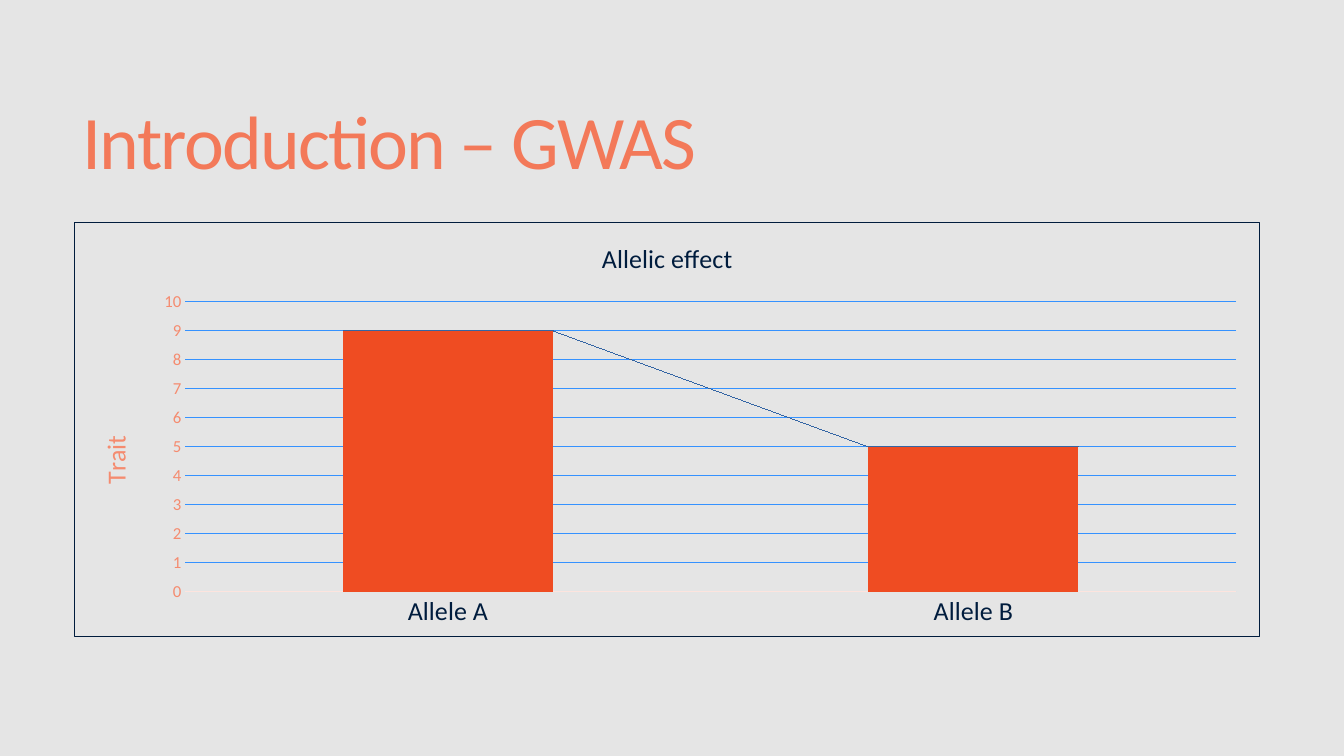
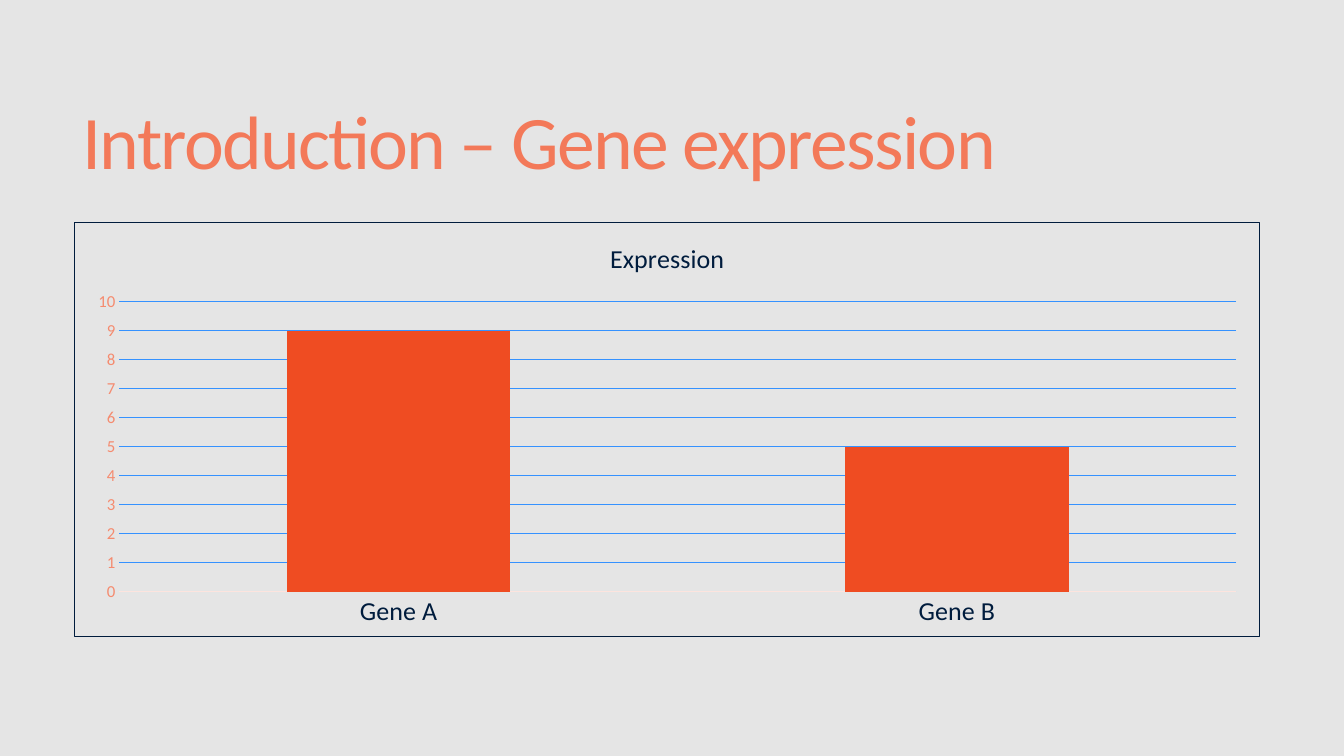
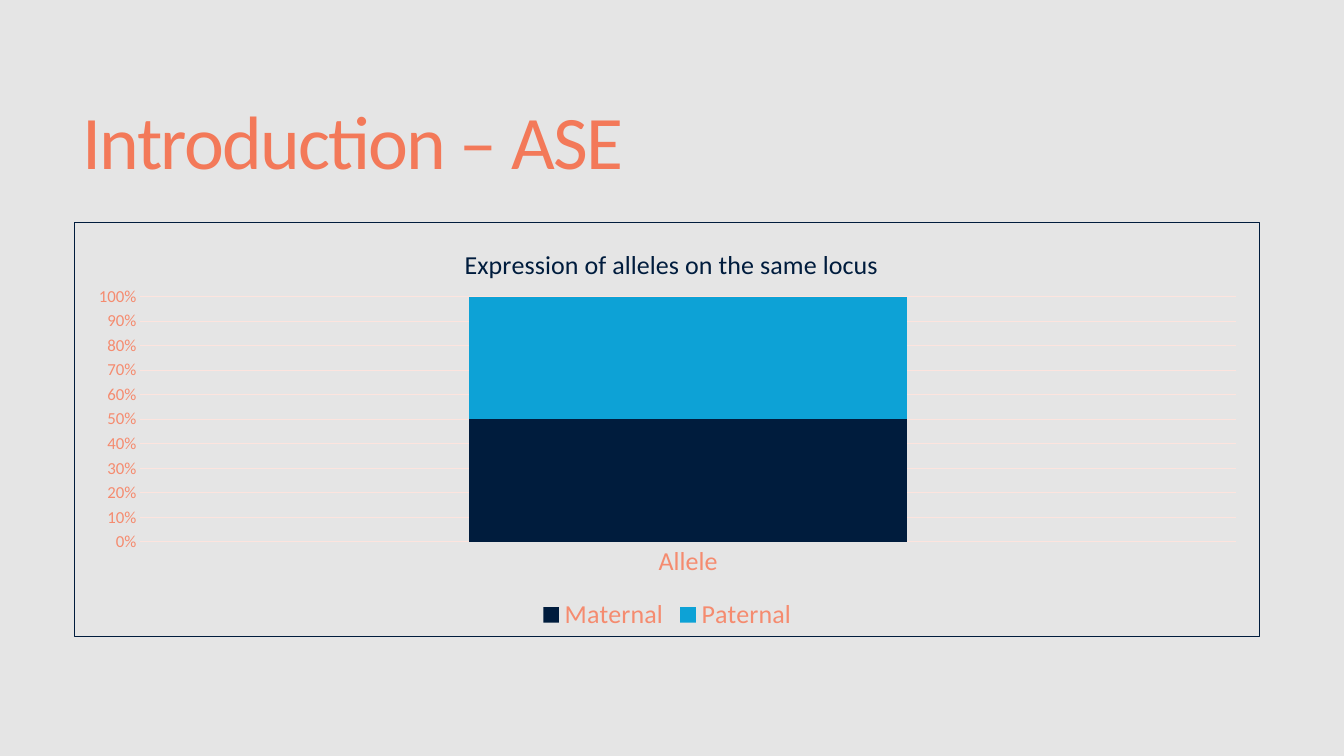
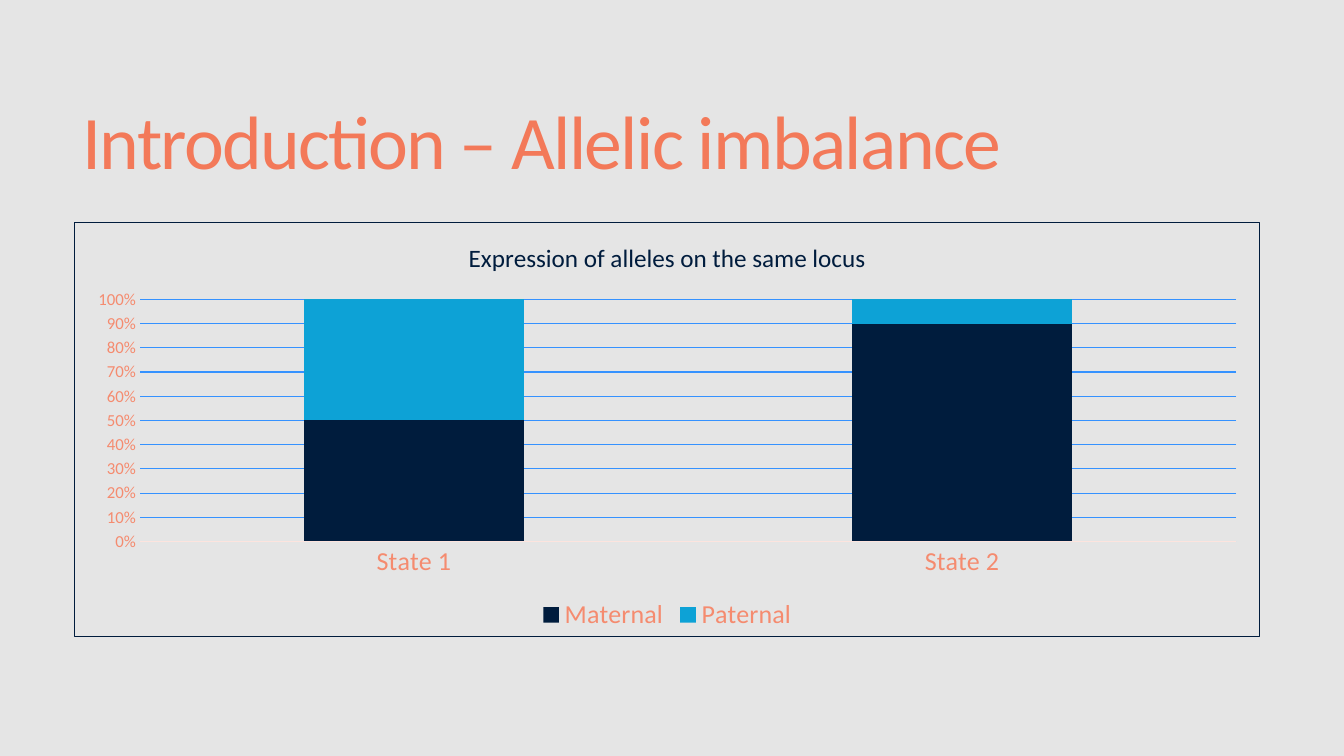
from lxml import etree
from pptx import Presentation
from pptx.chart.data import CategoryChartData
from pptx.dml.color import RGBColor
from pptx.enum.chart import (
    XL_CHART_TYPE as ChartType,
    XL_LEGEND_POSITION as LegendPosition,
    XL_TICK_MARK as TickMark,
)
from pptx.enum.text import MSO_ANCHOR as Anchor
from pptx.oxml import parse_xml
from pptx.oxml.ns import nsdecls, qn
from pptx.util import Inches, Pt

GREY = RGBColor(0xE5, 0xE5, 0xE5)
NAVY = RGBColor(0x00, 0x1C, 0x3D)
ORANGE = RGBColor(0xEF, 0x4C, 0x22)
CORAL = RGBColor(0xF3, 0x79, 0x59)
SALMON = RGBColor(0xF5, 0x8B, 0x6F)
BLUSH = RGBColor(0xFD, 0xE4, 0xDE)
BLUE = RGBColor(0x35, 0x92, 0xFF)
CYAN = RGBColor(0x0D, 0xA2, 0xD6)

FONT = "Calibri"
HAIRLINE = Pt(0.75)
LABEL_SIZE = 18.6
# Left, top, width and height as percentages of the slide
TITLE_AREA = (5.4, 7.33, 88.37, 24.13)
CHART_AREA = (5.52, 29.3, 88.25, 54.95)


def style_font(font, size, color):
    """Apply the shared typeface with a size and a colour."""
    for name, value in {"name": FONT, "size": Pt(size), "bold": False}.items():
        setattr(font, name, value)
    font.color.rgb = color


def style_line(line, color):
    """Draw a thin line in one colour."""
    line.width = HAIRLINE
    line.color.rgb = color


def write(text_frame, text, size, color):
    """Put one styled run in a text frame and return its paragraph."""
    text_frame.text = text
    paragraph = text_frame.paragraphs[0]
    style_font(paragraph.runs[0].font, size, color)
    return paragraph


def manual_layout(target, **shares):
    """Build a fixed layout from shares of the chart's size."""
    values = {"layoutTarget": target} if target else {}
    values.update({"xMode": "edge", "yMode": "edge"}, **shares)
    settings = "".join(f'<c:{name} val="{value}"/>' for name, value in values.items())
    return parse_xml(f'<c:layout {nsdecls("c")}><c:manualLayout>{settings}'
                     '</c:manualLayout></c:layout>')


class Deck:
    """Holds the presentation style and the current slide."""

    def __init__(self):
        """Set the slide size and the shared background."""
        self.presentation = Presentation()
        self.presentation.slide_width = Inches(13.33)
        self.presentation.slide_height = Inches(7.5)
        fill = self.presentation.slide_master.background.fill
        fill.solid()
        fill.fore_color.rgb = GREY
        self.slide = None

    def add_slide(self):
        """Start a blank slide."""
        layout = self.presentation.slide_layouts[6]
        self.slide = self.presentation.slides.add_slide(layout)

    def place(self, area):
        """Turn percentages of the slide into lengths."""
        sides = (self.presentation.slide_width, self.presentation.slide_height) * 2
        return [round(side * share / 100) for side, share in zip(sides, area)]

    def title(self, topic):
        """Write the slide title."""
        shape = self.slide.shapes.add_textbox(*self.place(TITLE_AREA))
        frame = shape.text_frame
        frame.word_wrap = True
        frame.vertical_anchor = Anchor.MIDDLE
        paragraph = write(frame, f"Introduction – {topic}", 54, CORAL)
        paragraph.line_spacing = 0.85
        for properties in shape.element.iter(qn("a:rPr")):
            properties.set("spc", "-120")

    def chart(self, heading, categories, series, percent=False, heading_size=LABEL_SIZE,
              category_color=NAVY, grid_color=BLUE):
        """Add a framed stacked column chart; series maps a name to values and colour."""
        data = CategoryChartData()
        data.categories = categories
        for name, (values, _) in series.items():
            data.add_series(name, values)
        kind = ChartType.COLUMN_STACKED_100 if percent else ChartType.COLUMN_STACKED
        chart = self.slide.shapes.add_chart(kind, *self.place(CHART_AREA), data).chart
        style_font(chart.font, 10, ORANGE)
        chart.has_title = True
        chart.chart_title.include_in_layout = False
        write(chart.chart_title.text_frame, heading, heading_size, NAVY)

        plot = chart.plots[0]
        for name, value in {"gap_width": 150, "overlap": 100, "vary_by_categories": False}.items():
            setattr(plot, name, value)
        for column, (_, color) in zip(plot.series, series.values()):
            column.format.fill.solid()
            column.format.fill.fore_color.rgb = color

        self.axes(chart, percent, category_color, grid_color)
        self.frame(chart)
        chart.has_legend = percent
        if percent:
            chart.legend.position = LegendPosition.BOTTOM
            chart.legend.include_in_layout = False
            style_font(chart.legend.font, LABEL_SIZE, SALMON)
        return chart

    def axes(self, chart, percent, category_color, grid_color):
        """Style both axes and the gridlines."""
        category, value = chart.category_axis, chart.value_axis
        for axis, size, color in ((category, LABEL_SIZE, category_color), (value, 12, SALMON)):
            axis.major_tick_mark = axis.minor_tick_mark = TickMark.NONE
            style_font(axis.tick_labels.font, size, color)
        style_line(category.format.line, BLUSH)
        value.format.line.fill.background()
        value.has_major_gridlines = True
        style_line(value.major_gridlines.format.line, grid_color)
        top = 1 if percent else 10
        scale = {"minimum_scale": 0, "maximum_scale": top, "major_unit": top / 10}
        for name, number in scale.items():
            setattr(value, name, number)
        value.tick_labels.number_format = "0%" if percent else "General"
        value.tick_labels.number_format_is_linked = False

    def frame(self, chart):
        """Outline the chart area and leave it unfilled."""
        chart.element.find(qn("c:chart")).addnext(parse_xml(
            f'<c:spPr {nsdecls("c", "a")}><a:noFill/><a:ln w="{HAIRLINE}"><a:solidFill>'
            f'<a:srgbClr val="{NAVY}"/></a:solidFill></a:ln></c:spPr>'))

    def value_title(self, chart, text):
        """Write an upright title beside the value axis."""
        title = chart.value_axis.axis_title
        write(title.text_frame, text, LABEL_SIZE, SALMON)
        for body in title.element.iter(qn("a:bodyPr")):
            body.set("rot", "-5400000")
            body.set("vert", "horz")

    def series_lines(self, chart):
        """Join the tops of neighbouring columns."""
        bars = next(chart.element.iter(qn("c:barChart")))
        bars.find(qn("c:axId")).addprevious(etree.Element(qn("c:serLines")))

    def omit_from_legend(self, chart, index):
        """Leave the series at this index out of the legend."""
        position = next(chart.element.iter(qn("c:legendPos")))
        position.addnext(parse_xml(
            f'<c:legendEntry {nsdecls("c")}><c:idx val="{index}"/>'
            '<c:delete val="1"/></c:legendEntry>'))

    def tighten(self, chart, heading, plot):
        """Fix the places of the heading and the plot inside the chart."""
        title = chart.chart_title.element
        area = next(chart.element.iter(qn("c:plotArea")))
        for parent in (title, area):
            for layout in parent.findall(qn("c:layout")):
                parent.remove(layout)
        title.find(qn("c:tx")).addnext(manual_layout(None, **heading))
        area.insert(0, manual_layout("inner", **plot))


deck = Deck()

deck.add_slide()
allelic_effect = deck.chart("Allelic effect", ["Allele A", "Allele B"],
                            {"Series 1": ([9, 5], ORANGE)})
deck.value_title(allelic_effect, "Trait")
deck.series_lines(allelic_effect)
deck.title("GWAS")

deck.add_slide()
deck.chart("Expression", ["Gene A", "Gene B"], {"Expression": ([9, 5], ORANGE)})
deck.title("Gene expression")

LOCUS_HEADING = "Expression of alleles on the same locus"

deck.add_slide()
same_locus = deck.chart(LOCUS_HEADING, ["Allele"],
                        {"Maternal": ([50], NAVY), "Paternal": ([50], CYAN)},
                        percent=True, category_color=SALMON, grid_color=BLUSH)
deck.tighten(same_locus, heading={"x": 0.325, "y": 0.046},
             plot={"x": 0.0555, "y": 0.18, "w": 0.9245, "h": 0.592})
deck.title("ASE")

deck.add_slide()
imbalance = deck.chart(LOCUS_HEADING, ["State 1", "State 2"],
                       {"Maternal": ([50, 90], NAVY), "Series 2": ([None, None], GREY),
                        "Paternal": ([50, 10], CYAN)},
                       percent=True, heading_size=18, category_color=SALMON)
deck.omit_from_legend(imbalance, 1)
deck.title("Allelic imbalance")

deck.presentation.save("out.pptx")
